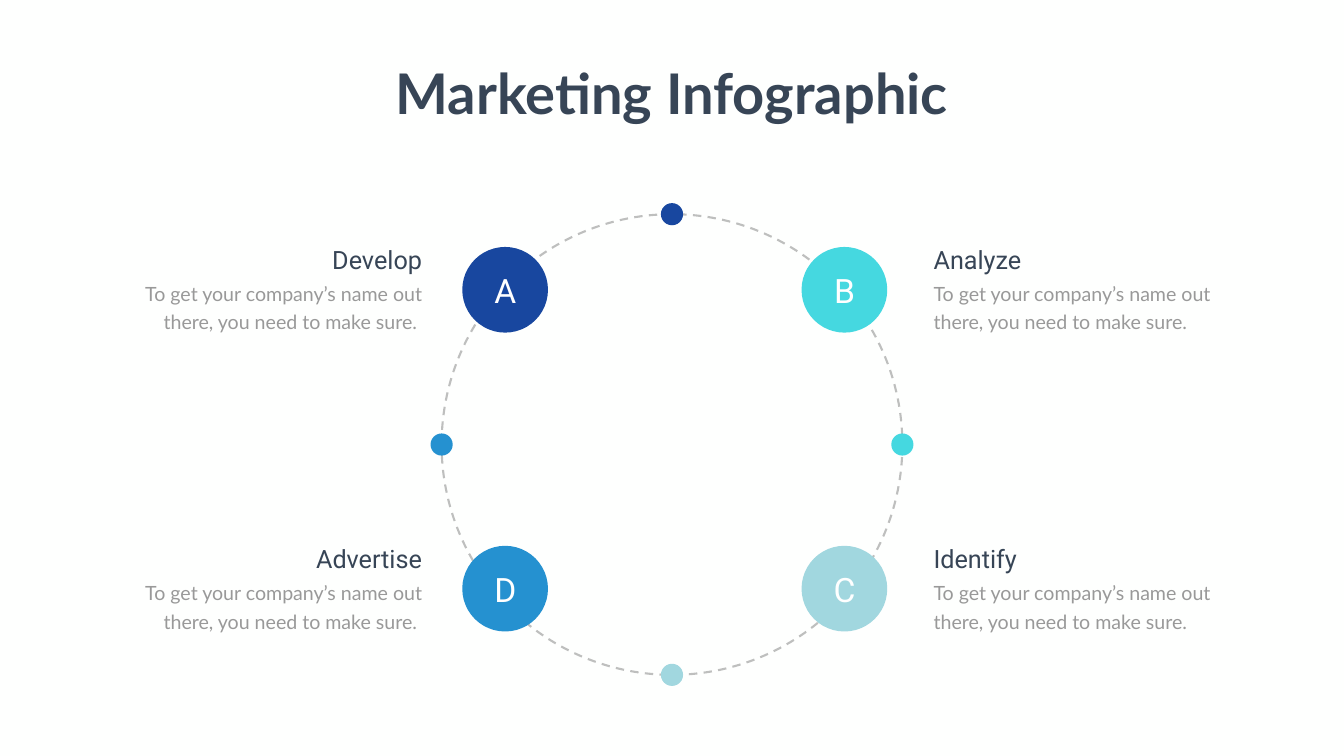
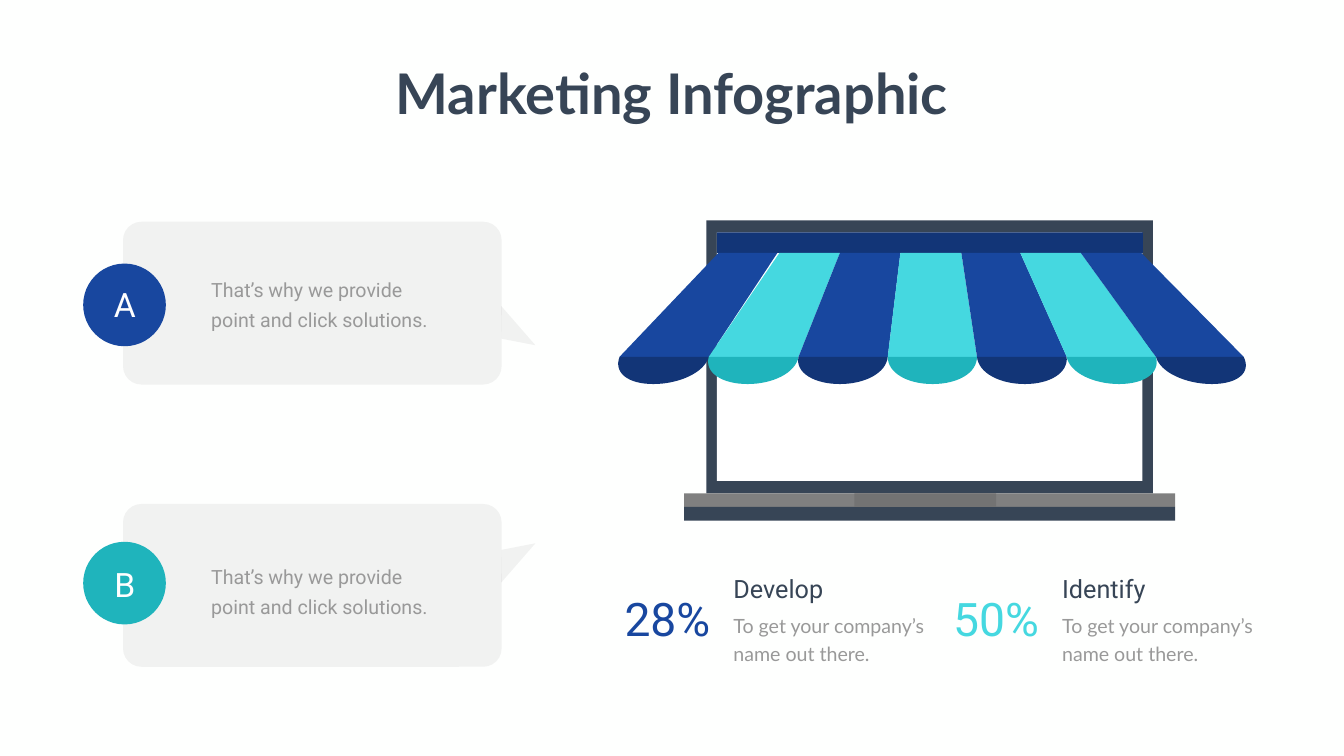
from lxml import etree
from pptx import Presentation, util as u
from pptx.dml.color import RGBColor
from pptx.enum import dml, shapes, text
from pptx.oxml.ns import qn

HUE = {"back": "FEFFFE", "white": "FFFFFF", "dark": "374556", "text": "999999",
       "gray": "808080", "step": "737373", "navy": "123577", "blue": "18479F",
       "sky": "2591D0", "aqua": "45D8E0", "teal": "1FB4BC", "pale": "A1D7DF"}
KIND = shapes.MSO_SHAPE
LEFT, MID, RIGHT = text.PP_ALIGN.LEFT, text.PP_ALIGN.CENTER, text.PP_ALIGN.RIGHT


def write(slide, words, x, y, w, h, size=28, font="Roboto", hue="text",
          align=LEFT, bold=False, wrap=True, lead=None):
    box = slide.shapes.add_textbox(*map(u.Inches, (x, y, w, h)))
    frame = box.text_frame
    frame.word_wrap = wrap
    frame.auto_size = text.MSO_AUTO_SIZE.SHAPE_TO_FIT_TEXT
    par = frame.paragraphs[0]
    par.alignment = align
    if lead:
        par.line_spacing = u.Pt(lead)
    run = par.add_run()
    run.text = words
    run.font.size = u.Pt(size)
    run.font.name = font
    run.font.bold = bold
    run.font.color.rgb = RGBColor.from_string(HUE[hue])


def draw(slide, form, hue, box=None, alpha=None, edge=False):
    if box:
        item = slide.shapes.add_shape(form, *map(u.Inches, box))
    else:
        dots = [(u.Inches(x), u.Inches(y)) for x, y in form]
        path = slide.shapes.build_freeform(*dots[0])
        path.add_line_segments(dots[1:], close=True)
        item = path.convert_to_shape()
    item.shadow.inherit = False
    shade = RGBColor.from_string(HUE[hue])
    if edge:
        item.fill.background()
        item.line.color.rgb = shade
        item.line.width = u.Pt(3)
        item.line.dash_style = dml.MSO_LINE.DASH
    else:
        item.fill.solid()
        item.fill.fore_color.rgb = shade
        item.line.fill.background()
    if alpha:
        for node in item._element.spPr.iter(qn("a:srgbClr")):
            etree.SubElement(node, qn("a:alpha")).set("val", str(alpha * 1000))
    return item


deck = Presentation()
deck.slide_width, deck.slide_height = u.Inches(26.66), u.Inches(15)
pages = []
for _ in range(2):
    page = deck.slides.add_slide(deck.slide_layouts[6])
    page.background.fill.solid()
    page.background.fill.fore_color.rgb = RGBColor.from_string(HUE["back"])
    write(page, "Marketing Infographic", 7.61, 1.12, 11.44, 1.45, size=80,
          font="Lato", hue="dark", align=MID, bold=True, wrap=False)
    pages.append(page)
wheel, shop = pages

midx, midy, rad = 13.33, 8.82, 4.57
draw(wheel, KIND.OVAL, "gray", (midx - rad, midy - rad, 2 * rad, 2 * rad),
     alpha=50, edge=True)

pitch = "To get your company’s name out there, you need to make sure."
steps = [("A", "Develop", "blue", 0, 0), ("B", "Analyze", "aqua", 1, 0),
         ("D", "Advertise", "sky", 0, 1), ("C", "Identify", "pale", 1, 1)]
for mark, name, hue, col, row in steps:
    x, y = 9.17 + 6.73 * col, 4.9 + 5.93 * row
    draw(wheel, KIND.OVAL, hue, (x, y, 1.7, 1.7))
    write(wheel, mark, x + 0.36, y + 0.4, 0.99, 0.91, size=48, hue="white", align=MID)
    top = 4.79 + 5.94 * row
    side = LEFT if col else RIGHT
    write(wheel, pitch if col else pitch + " ", 18.42 if col else 2.39, top + 0.65,
          6.08, 1.19, font="Lato", align=side, lead=40.8)
    write(wheel, name, 18.42 if col else 4.08, top, 4.39, 0.71, size=36,
          hue="dark", align=side)

for hue, dx, dy in [("blue", 0, -1), ("aqua", 1, 0), ("sky", -1, 0), ("pale", 0, 1)]:
    draw(wheel, KIND.OVAL, hue,
         (midx + rad * dx - 0.22, midy + rad * dy - 0.22, 0.44, 0.44))

notes = [("A", "blue", 4.4, 5.23, 5.59, 5.34,
          [(10.62, 6.85), (9.94, 6.07), (9.95, 6.72)]),
         ("B", "teal", 10, 10.75, 11.13, 11.02,
          [(10.62, 10.78), (9.94, 11.56), (9.95, 10.91)])]
for mark, hue, top, disc, label, body, tail in notes:
    card = draw(shop, KIND.ROUNDED_RECTANGLE, "gray", (2.44, top, 7.51, 3.23), alpha=10)
    card.adjustments[0] = 0.113
    draw(shop, tail, "gray", alpha=10)
    draw(shop, KIND.OVAL, hue, (1.65, disc, 1.64, 1.64))
    write(shop, mark, 1.98, label, 0.99, 0.91, size=48, hue="white", align=MID)
    write(shop, "That’s why we provide point and click solutions.",
          4.09, body, 4.92, 1.25, lead=43)

for hue, *box in [("dark", 14.01, 4.37, 8.86, 5.42), ("white", 14.22, 4.61, 8.44, 4.93),
                  ("gray", 13.57, 9.79, 9.74, 0.27), ("dark", 13.57, 10.06, 9.74, 0.27),
                  ("step", 16.95, 9.79, 2.81, 0.27), ("navy", 14.22, 4.61, 8.45, 0.41)]:
    draw(shop, KIND.RECTANGLE, hue, box)

high, brim, low = 5.02, 7.08, 7.62
tops = [(14.25, 15.42), (15.46, 16.66), (16.66, 17.86), (17.86, 19.07),
        (19.07, 20.24), (20.24, 21.44), (21.44, 22.64)]
feet = [12.29, 14.06, 15.84, 17.61, 19.38, 21.16, 22.93, 24.67]
for i, (a, b) in enumerate(tops):
    draw(shop, [(a, high), (feet[i], brim), (feet[i + 1], brim), (b, high)],
         "aqua" if i % 2 else "blue")

flaps = [(12.17, 12.96, 13.97), (13.97, 14.83, 15.78), (15.77, 16.66, 17.58),
         (17.61, 18.5, 19.38), (19.41, 20.33, 21.19), (21.22, 22.2, 23.02),
         (23.02, 24.04, 24.83)]
for i in (0, 1, 2, 3, 4, 6, 5):
    near, base, far = flaps[i]
    curves = [((feet[i], brim), (near, 7.4), (base - 0.5, low), (base, low)),
              ((base, low), (base + 0.5, low), (far, 7.4), (feet[i + 1], brim))]
    rim = []
    for curve in curves:
        for n in range(17):
            t = n / 16
            parts = ((1 - t) ** 3, 3 * t * (1 - t) ** 2, 3 * t * t * (1 - t), t ** 3)
            rim.append([sum(k * p[d] for k, p in zip(parts, curve)) for d in (0, 1)])
    draw(shop, rim, "teal" if i % 2 else "navy")

for x, rate, name, hue in [(12.29, "28%", "Develop", "blue"),
                           (18.81, "50%", "Identify", "aqua")]:
    write(shop, "To get your company’s name out there.", x + 2.16, 12.03, 4.38, 1.19,
          font="Lato", lead=40.8)
    write(shop, name, x + 2.16, 11.33, 4.22, 0.71, size=36, hue="dark")
    write(shop, rate, x, 11.67, 2.17, 1.21, size=66, hue=hue)

deck.save("out.pptx")
